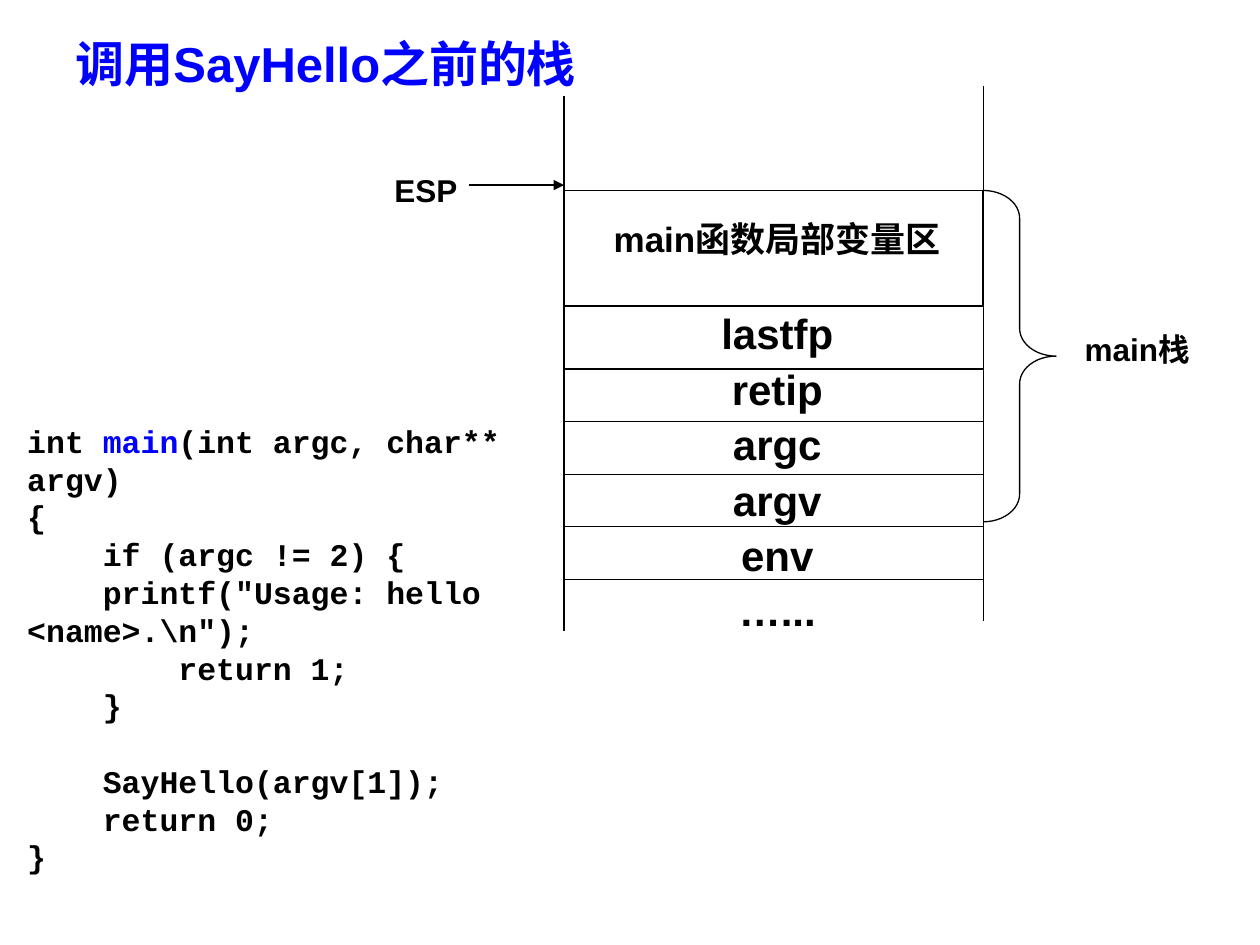
from lxml.etree import SubElement
from pptx import Presentation
from pptx.dml.color import RGBColor
from pptx.enum.shapes import MSO_CONNECTOR, MSO_SHAPE
from pptx.enum.text import MSO_ANCHOR, MSO_AUTO_SIZE, PP_ALIGN
from pptx.oxml.ns import qn
from pptx.util import Cm, Pt

BLACK, BLUE = "000000", "0000FF"
STACK_LEFT, STACK_RIGHT = 11.37, 19.82
FRAME_TOP, FRAME_HEIGHT = 3.84, 2.33
DIVIDERS = [7.44] + [8.5 + 1.06 * row for row in range(4)]
INDENT = Pt(43.2)

CODE = [
    (0, [("int ", BLACK), ("main", BLUE), ("(int argc, char** argv)", BLACK)]),
    (0, [("{", BLACK)]),
    (1, [("if (argc != 2) {", BLACK)]),
    (1, [('printf("Usage: hello <name>.\\n");', BLACK)]),
    (2, [("return 1;", BLACK)]),
    (1, [("}", BLACK)]),
    (1, [("SayHello(argv[1]);", BLACK)]),
    (1, [("return 0;", BLACK)]),
    (0, [("}", BLACK)]),
]
STACK_ROWS = ["lastfp", "retip", "argc", "argv", "env", "…..."]


def color(value):
    """Return the colour for a hex string."""
    return RGBColor.from_string(value)


def set_font(font, size, name="Arial", value=BLACK):
    """Apply the bold slide type to a font."""
    font.name, font.size, font.bold = name, Pt(size), True
    font.color.rgb = color(value)


def add_title(slide, text):
    """Move, fill and format the title placeholder."""
    title = slide.shapes.title
    title.left, title.top, title.width, title.height = Cm(1.27), Cm(0.64), Cm(11.43), Cm(1.27)
    frame = title.text_frame
    frame.text = text
    frame.auto_size = MSO_AUTO_SIZE.NONE
    frame.vertical_anchor = MSO_ANCHOR.MIDDLE
    frame.paragraphs[0].alignment = PP_ALIGN.LEFT
    set_font(frame.paragraphs[0].font, 28, value=BLUE)


def add_text(slide, left, top, width, height, lines, size=18, wrap=False):
    """Add a text box with one paragraph per line and return its paragraphs."""
    box = slide.shapes.add_textbox(Cm(left), Cm(top), Cm(width), Cm(height))
    frame = box.text_frame
    frame.text = "\n".join(lines)
    frame.word_wrap = wrap
    for paragraph in frame.paragraphs:
        set_font(paragraph.font, size)
    return frame.paragraphs


def add_code(slide):
    """Add the listing with first-line indents and a gap before the call."""
    paragraphs = add_text(slide, 0.3, 8.38, 11.61, 10.16, [""] * len(CODE), wrap=True)
    for paragraph, (level, parts) in zip(paragraphs, CODE):
        paragraph.font.name = "Courier New"
        paragraph._p.get_or_add_pPr().set("indent", str(level * INDENT))
        for text, value in parts:
            run = paragraph.add_run()
            run.text = text
            set_font(run.font, 18, "Courier New", value)
    paragraphs[6].space_before = Pt(21.5)


def add_stack_text(slide):
    """Add the centred labels of the stack cells."""
    paragraphs = add_text(slide, 11.67, 4.27, 8, 8.66, ["main函数局部变量区"] + STACK_ROWS, 24)
    for paragraph in paragraphs:
        paragraph.alignment = PP_ALIGN.CENTER
    paragraphs[0].font.size = Pt(20)
    for paragraph in paragraphs[1:]:
        paragraph.line_spacing = 1.1
    paragraphs[1].space_before = Pt(24.5)


def add_line(slide, start, end, width=0.75, arrow=False):
    """Add a straight line, with an arrowhead at its end on request."""
    line = slide.shapes.add_connector(MSO_CONNECTOR.STRAIGHT, *map(Cm, start + end))
    line.line.color.rgb = color(BLACK)
    line.line.width = Pt(width)
    if arrow:
        SubElement(line.line._get_or_add_ln(), qn("a:tailEnd"), type="triangle")
    SubElement(line._element.spPr, qn("a:effectLst"))


def add_outline(slide, kind, left, top, width, height):
    """Add an unfilled preset shape with a thin black outline."""
    shape = slide.shapes.add_shape(kind, Cm(left), Cm(top), Cm(width), Cm(height))
    shape.shadow.inherit = False
    shape.fill.background()
    shape.line.color.rgb = color(BLACK)
    shape.line.width = Pt(0.75)
    return shape


def main():
    """Build the slide and save it."""
    presentation = Presentation()
    presentation.slide_width, presentation.slide_height = Cm(25.4), Cm(19.05)
    slide = presentation.slides.add_slide(presentation.slide_layouts[5])
    add_title(slide, "调用SayHello之前的栈")
    add_code(slide)
    add_stack_text(slide)
    add_outline(slide, MSO_SHAPE.RECTANGLE, STACK_LEFT, FRAME_TOP,
                STACK_RIGHT - STACK_LEFT, FRAME_HEIGHT)
    for top in DIVIDERS:
        add_line(slide, (STACK_LEFT, top), (STACK_RIGHT, top))
    add_line(slide, (STACK_LEFT, 1.93), (STACK_LEFT, 12.73), width=1)
    add_line(slide, (STACK_RIGHT, 1.73), (STACK_RIGHT, 12.52))
    add_line(slide, (9.45, 3.73), (STACK_LEFT, 3.73), arrow=True)
    add_text(slide, 7.7, 3.33, 1.78, 1.02, ["ESP"])
    brace = add_outline(slide, MSO_SHAPE.RIGHT_BRACE, STACK_RIGHT, FRAME_TOP, 1.47, 6.68)
    brace.adjustments[0] = 0.38
    add_text(slide, 21.44, 6.53, 2.95, 1.02, [" main栈"])
    presentation.save("out.pptx")


if __name__ == "__main__":
    main()
